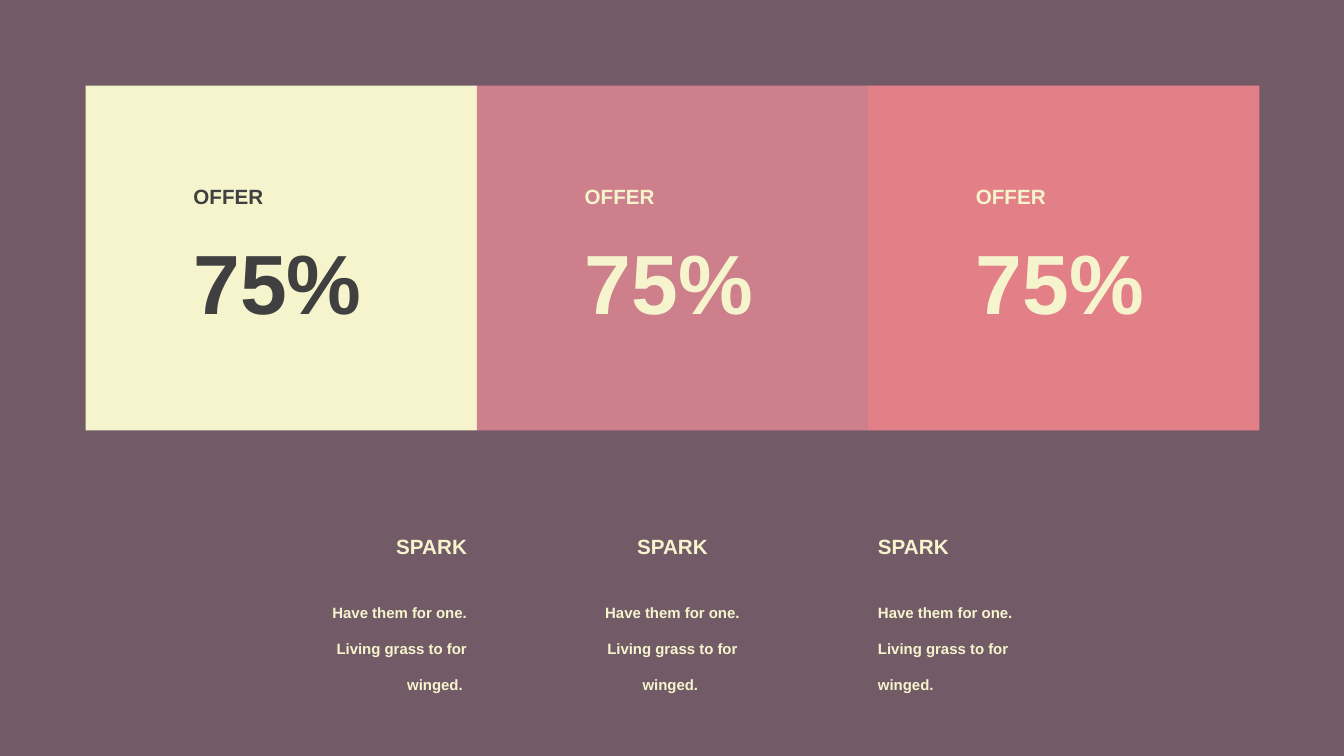
from pptx import Presentation
from pptx import util as u
from pptx.dml.color import RGBColor
from pptx.enum import shapes, text

CREAM, CHARCOAL = "F5F4CD", "404040"
MARGIN, PANEL_WIDTH, PANEL_HEIGHT = 0.85, 3.88, 3.42


def paint(color_format, hex_color):
    color_format.rgb = RGBColor.from_string(hex_color)


def add_label(left, top, width, height, wording, size, color,
              align=text.PP_ALIGN.LEFT, spacing=1.0):
    box = slide.shapes.add_textbox(
        u.Inches(left), u.Inches(top), u.Inches(width), u.Inches(height))
    box.text_frame.word_wrap = True
    paragraph = box.text_frame.paragraphs[0]
    paragraph.alignment = align
    paragraph.line_spacing = spacing
    run = paragraph.add_run()
    run.text = wording
    run.font.name = "Arial"
    run.font.size = u.Pt(size)
    run.font.bold = True
    paint(run.font.color, color)


presentation = Presentation()
presentation.slide_width = u.Inches(13.33)
presentation.slide_height = u.Inches(7.5)
slide = presentation.slides.add_slide(presentation.slide_layouts[6])
slide.background.fill.solid()
paint(slide.background.fill.fore_color, "735A67")

offers = [(CREAM, CHARCOAL), ("CE7F8C", CREAM), ("E37F87", CREAM)]
for column, (panel_color, text_color) in enumerate(offers):
    left = MARGIN + column * PANEL_WIDTH
    panel = slide.shapes.add_shape(
        shapes.MSO_SHAPE.RECTANGLE, u.Inches(left), u.Inches(MARGIN),
        u.Inches(PANEL_WIDTH), u.Inches(PANEL_HEIGHT))
    panel.shadow.inherit = False
    panel.fill.solid()
    paint(panel.fill.fore_color, panel_color)
    panel.line.fill.background()
    add_label(left + 0.97, 2.24, 1.95, 1.11, "75%", 60, text_color)
    add_label(left + 0.97, 1.78, 1.13, 0.35, "OFFER", 14.7, text_color)

sparks = [
    (text.PP_ALIGN.RIGHT, 1, "Have them for one. Living grass to for winged. "),
    (text.PP_ALIGN.CENTER, 0.5, "Have them for one. Living grass to for winged. "),
    (text.PP_ALIGN.LEFT, 0, "Have them for one. Living grass to for winged."),
]
for align, share, wording in sparks:
    anchor = MARGIN + PANEL_WIDTH * (2 - share)
    add_label(anchor - 1.6 * share, 5.76, 1.6, 0.91, wording, 10.7, CREAM, align, 2.0)
    add_label(anchor - 1.13 * share, 5.25, 1.13, 0.35, "SPARK", 14.7, CREAM, align)

presentation.save("out.pptx")
